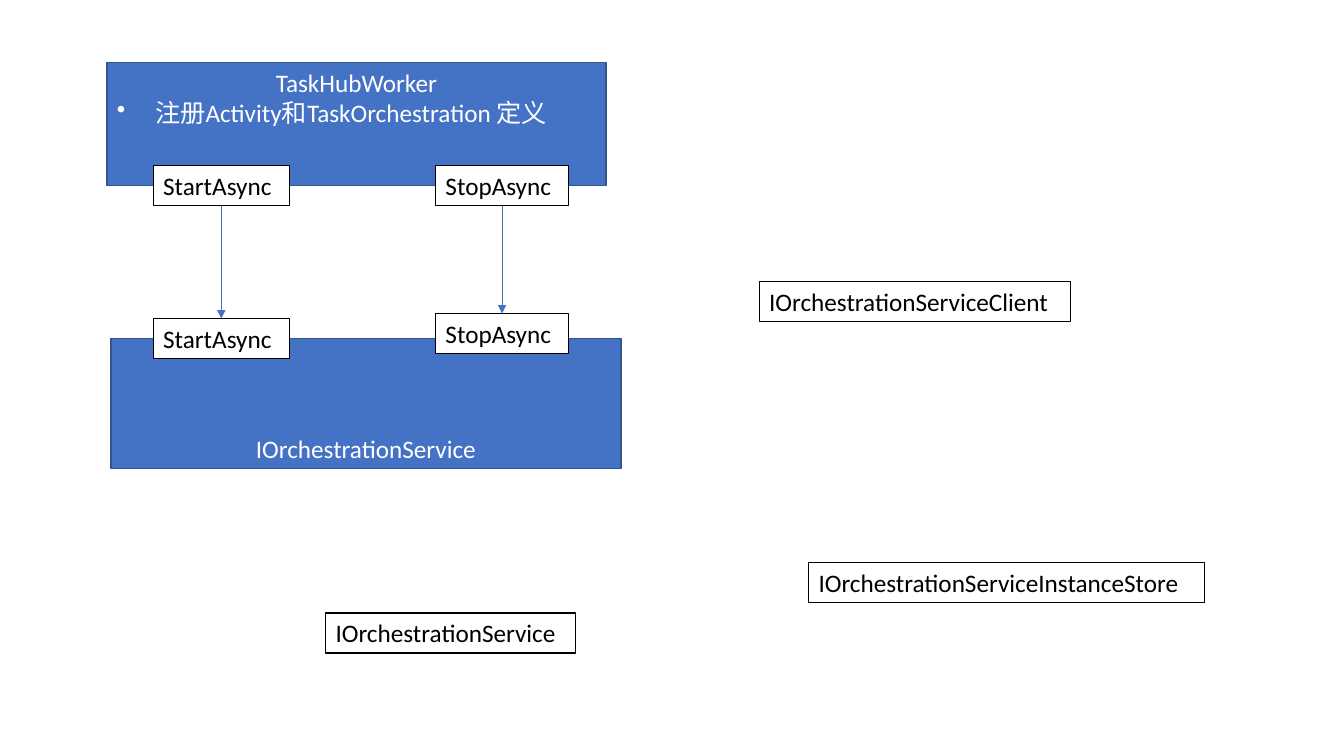
from dataclasses import dataclass

from lxml.etree import SubElement
from pptx import Presentation
from pptx.dml.color import RGBColor as Rgb
from pptx.enum.shapes import MSO_CONNECTOR as Link, MSO_SHAPE as Kind
from pptx.enum.text import MSO_ANCHOR as Anchor, MSO_AUTO_SIZE as Fit, PP_ALIGN as Align
from pptx.oxml.ns import qn
from pptx.shapes.autoshape import Shape
from pptx.util import Inches, Pt

HUES = {"blue": "4472C4", "edge": "325491", "white": "FFFFFF", "black": "000000"}
LABEL_H = 0.4
BOTTOM, TOP = 2, 0  # connection sites of a rectangle


@dataclass
class Box:
    """A rectangle with its text, measured in inches."""
    text: str
    left: float
    top: float
    width: float
    height: float = LABEL_H
    fill: str = "white"
    edge: str = "black"
    ink: str = "black"
    align: Align = Align.LEFT
    anchor: Anchor = Anchor.TOP
    fit: bool = True


@dataclass
class Panel(Box):
    """A blue block with white centred text."""
    fill: str = "blue"
    edge: str = "edge"
    ink: str = "white"
    align: Align = Align.CENTER
    fit: bool = False


def hue(name: str) -> Rgb:
    """Look up a colour by name."""
    return Rgb.from_string(HUES[name])


def draw_box(box: Box) -> Shape:
    """Draw a rectangle with one paragraph per line of text."""
    shape = slide.shapes.add_shape(
        Kind.RECTANGLE, *map(Inches, (box.left, box.top, box.width, box.height)))
    shape.shadow.inherit = False
    shape.fill.solid()
    shape.fill.fore_color.rgb = hue(box.fill)
    shape.line.color.rgb = hue(box.edge)
    shape.line.width = Pt(1)
    frame = shape.text_frame
    frame.text = box.text
    frame.word_wrap = not box.fit
    frame.auto_size = Fit.SHAPE_TO_FIT_TEXT if box.fit else Fit.NONE
    frame.vertical_anchor = box.anchor
    for para in frame.paragraphs:
        para.alignment = box.align
        para.font.size = Pt(18)
        para.font.name = "Calibri"
        para.font.color.rgb = hue(box.ink)
    return shape


def add_bullet(shape: Shape, index: int) -> None:
    """Turn one paragraph into a left-aligned bullet."""
    para = shape.text_frame.paragraphs[index]
    para.alignment = Align.LEFT
    props = para._p.get_or_add_pPr()
    props.set("marL", str(Inches(0.38)))
    props.set("indent", str(Inches(-0.38)))
    mark = props.makeelement(qn("a:buChar"), {"char": "•"})
    props.find(qn("a:defRPr")).addprevious(mark)


def draw_arrow(start: Shape, end: Shape) -> None:
    """Join the bottom of one label to the top of another."""
    line = slide.shapes.add_connector(Link.STRAIGHT, 0, 0, 0, 0)
    line.begin_connect(start, BOTTOM)
    line.end_connect(end, TOP)
    line.line.color.rgb = hue("blue")
    line.line.width = Pt(0.5)
    SubElement(line.line._get_or_add_ln(), qn("a:tailEnd"), type="triangle")
    SubElement(line._element.spPr, qn("a:effectLst"))


deck = Presentation()
deck.slide_width, deck.slide_height = Inches(13.33), Inches(7.5)
slide = deck.slides.add_slide(deck.slide_layouts[6])

for face in (
    Box("IOrchestrationServiceInstanceStore", 8.02, 5.58, 3.93),
    Box("IOrchestrationService", 3.23, 6.08, 2.48),
    Box("IOrchestrationServiceClient", 7.53, 2.79, 3.09),
):
    draw_box(face)

worker = draw_box(Panel("TaskHubWorker\n注册Activity和TaskOrchestration 定义",
                        1.06, 0.62, 4.95, 1.22))
add_bullet(worker, 1)
draw_box(Panel("IOrchestrationService", 1.1, 3.36, 5.06, 1.29, anchor=Anchor.BOTTOM))

for name, left, width, low in (("StartAsync", 1.52, 1.35, 3.16),
                               ("StopAsync", 4.32, 1.32, 3.11)):
    caller, target = (draw_box(Box(name, left, top, width)) for top in (1.64, low))
    draw_arrow(caller, target)

deck.save("out.pptx")
